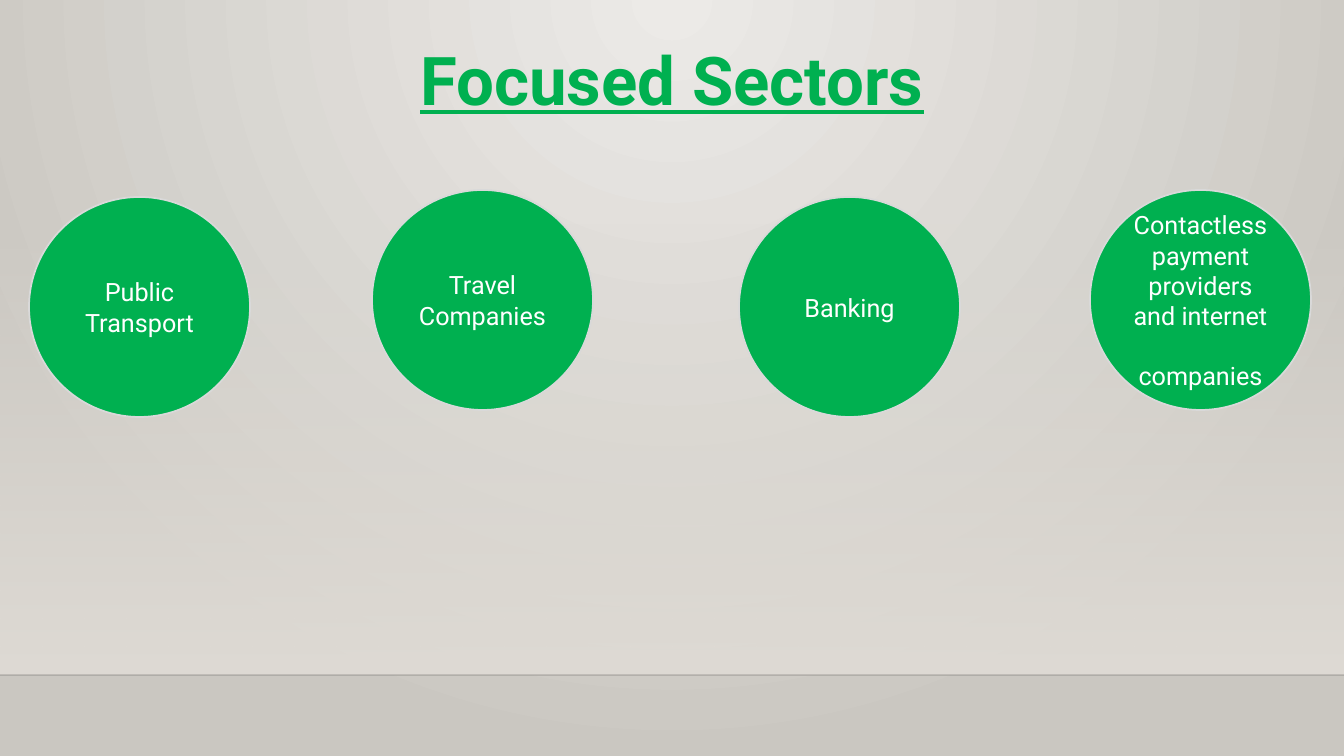
"""Build the Focused Sectors slide: a title above four round sector labels."""
from lxml import etree
from pptx import Presentation
from pptx import util as u
from pptx.dml.color import RGBColor
from pptx.enum import shapes, text
from pptx.oxml.ns import qn

GREEN = RGBColor(0x00, 0xB0, 0x50)
WHITE = RGBColor(0xFF, 0xFF, 0xFF)
RIM = RGBColor(0xD9, 0xD9, 0xD9)
INK = RGBColor(0x00, 0x00, 0x01)
FLOOR = RGBColor(0xDF, 0xDB, 0xD5)
GLOW = RGBColor(0xEC, 0xEA, 0xE7)
STONE = RGBColor(0xCA, 0xC7, 0xC1)

WIDTH, HEIGHT = 1344, 756
FLOOR_TOP, FLOOR_LINE = 223, 675
CIRCLE_WIDTH, CIRCLE_HEIGHT = 221, 220
SECTORS = [
    (29, 197, ["Public Transport"]),
    (372, 190, ["Travel Companies"]),
    (739, 197, ["Banking"]),
    (1090, 190, ["Contactless payment providers and internet", "companies"]),
]
TITLE_FONT = {"name": "Roboto", "size": u.Pt(48), "bold": True, "underline": True}
LABEL_FONT = {"name": "Roboto", "size": u.Pt(18)}


def px(*lengths):
    """Turn pixel lengths into EMU."""
    return [u.Emu(round(length * 12192000 / WIDTH)) for length in lengths]


def write(para, words, font, color):
    """Put one centred, formatted run into a paragraph."""
    para.alignment = text.PP_ALIGN.CENTER
    span = para.add_run()
    span.text = words
    for name, value in font.items():
        setattr(span.font, name, value)
    span.font.color.rgb = color


deck = Presentation()
deck.slide_width, deck.slide_height = px(WIDTH, HEIGHT)
page = deck.slides.add_slide(deck.slide_layouts[5])

backdrop = page.background.fill
backdrop.gradient()
for stop, color in zip(backdrop.gradient_stops, (GLOW, STONE)):
    stop.color.rgb = color
linear = page.element.find(".//" + qn("a:lin"))
radial = etree.Element(qn("a:path"), {"path": "circle"})
etree.SubElement(radial, qn("a:fillToRect"), l="43000", t="0", r="43000", b="100000")
linear.getparent().replace(linear, radial)

floor = page.shapes.add_shape(
    shapes.MSO_SHAPE.RECTANGLE, *px(0, FLOOR_TOP, WIDTH, FLOOR_LINE - FLOOR_TOP))
floor.shadow.inherit = False
floor.line.fill.background()
floor.fill.gradient()
floor.fill.gradient_angle = 270
for stop in floor.fill.gradient_stops:
    stop.color.rgb = FLOOR
clear = floor.element.spPr.find(".//" + qn("a:srgbClr"))
etree.SubElement(clear, qn("a:alpha"), val="0")

edge = page.shapes.add_connector(
    shapes.MSO_CONNECTOR.STRAIGHT, *px(0, FLOOR_LINE, WIDTH, FLOOR_LINE))
edge.line.width = u.Pt(1)
edge.line.color.rgb = INK
ink = edge.element.spPr.find(".//" + qn("a:srgbClr"))
etree.SubElement(ink, qn("a:alpha"), val="20000")
etree.SubElement(edge.element.spPr, qn("a:effectLst"))

title = page.shapes.title
title.left, title.top, title.width, title.height = px(0, 33, WIDTH, 92)
title.text_frame.auto_size = text.MSO_AUTO_SIZE.NONE
title.text_frame.vertical_anchor = text.MSO_ANCHOR.TOP
write(title.text_frame.paragraphs[0], "Focused Sectors", TITLE_FONT, GREEN)
page.shapes.element.append(title.element)

for left, top, lines in SECTORS:
    circle = page.shapes.add_shape(
        shapes.MSO_SHAPE.OVAL, *px(left, top, CIRCLE_WIDTH, CIRCLE_HEIGHT))
    circle.shadow.inherit = False
    circle.fill.solid()
    circle.fill.fore_color.rgb = GREEN
    circle.line.color.rgb = RIM
    circle.line.width = u.Pt(1.25)
    frame = circle.text_frame
    frame.word_wrap = True
    frame.vertical_anchor = text.MSO_ANCHOR.MIDDLE
    for index, words in enumerate(lines):
        para = frame.add_paragraph() if index else frame.paragraphs[0]
        if index:
            para.space_before = u.Pt(21)
        write(para, words, LABEL_FONT, WHITE)

deck.save("out.pptx")
